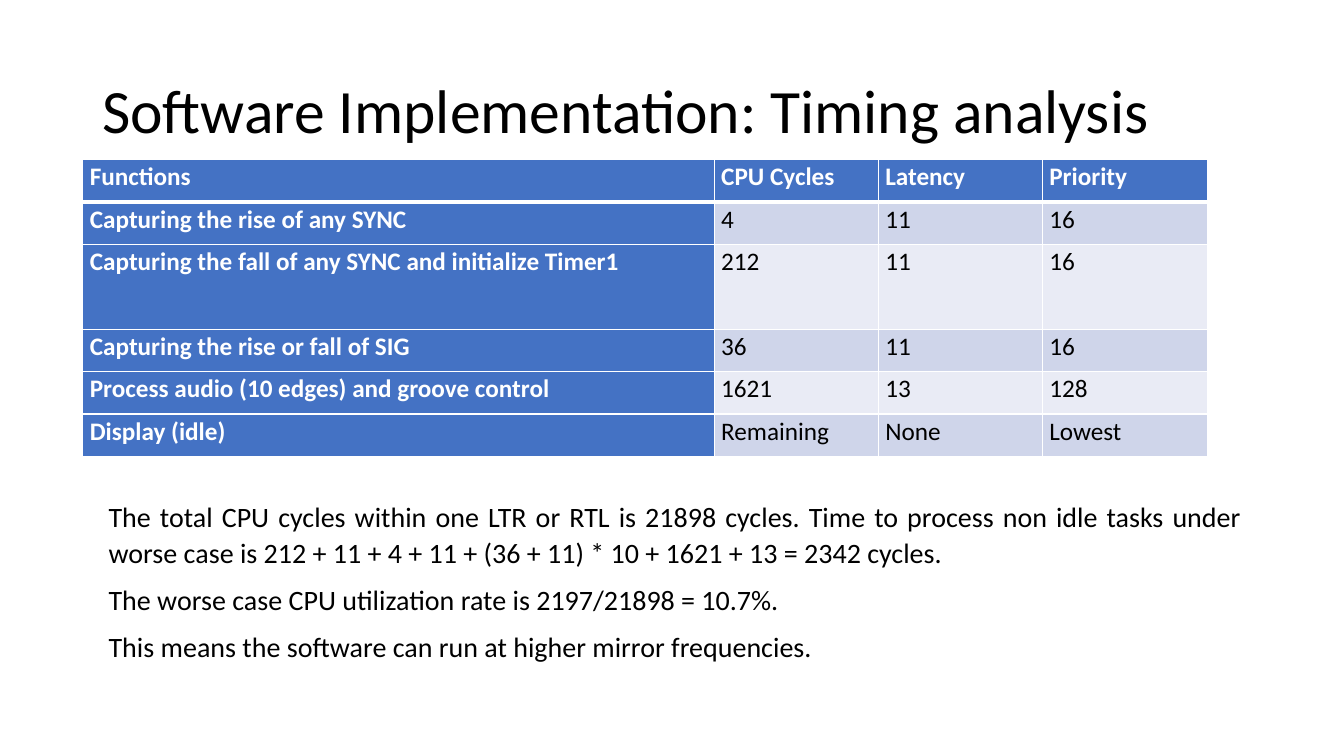
from dataclasses import dataclass

from lxml import etree
from pptx import Presentation
from pptx.dml.color import RGBColor
from pptx.enum.text import MSO_ANCHOR, PP_ALIGN
from pptx.oxml.ns import qn
from pptx.util import Pt

JUSTIFY, LEFT = PP_ALIGN.JUSTIFY, PP_ALIGN.LEFT
TOP, MIDDLE = MSO_ANCHOR.TOP, MSO_ANCHOR.MIDDLE
FONT = "Calibri"
COLORS = {
    "text": "000000",
    "white": "FFFFFF",
    "head": "4472C4",
    "odd": "CFD5EA",
    "even": "E9EBF5",
}
WIDTHS = [451, 117.2, 117.2, 117.8]
HEIGHTS = [30.2, 30.2, 61, 30.2, 30.2, 30.2]
ROWS = [
    ["Functions", "CPU Cycles", "Latency", "Priority"],
    ["Capturing the rise of any SYNC", "4", "11", "16"],
    ["Capturing the fall of any SYNC and initialize Timer1", "212", "11", "16"],
    ["Capturing the rise or fall of SIG", "36", "11", "16"],
    ["Process audio (10 edges) and groove control", "1621", "13", "128"],
    ["Display (idle)", "Remaining", "None", "Lowest"],
]


@dataclass
class Style:
    size: float
    color: str = "text"
    bold: bool = False
    align: PP_ALIGN = JUSTIFY
    spacing: float = 1.07
    after: float = 0
    indent: float = 0


@dataclass
class Block:
    left: float
    top: float
    width: float
    height: float
    anchor: MSO_ANCHOR
    style: Style
    lines: list[str]


BLOCKS = [
    Block(66, 28.75, 828, 104.4, MIDDLE, Style(44, align=LEFT, spacing=0.9),
          ["Software Implementation: Timing analysis"]),
    Block(66, 351.4, 828, 157, TOP, Style(20, after=8, indent=4.5), [
        "The total CPU cycles within one LTR or RTL is 21898 cycles. "
        "Time to process non idle tasks under worse case is "
        "212 + 11 + 4 + 11 + (36 + 11) * 10 + 1621 + 13 = 2342 cycles.",
        "The worse case CPU utilization rate is 2197/21898 = 10.7%.",
        "This means the software can run at higher mirror frequencies.",
    ]),
]


def rgb(name: str) -> RGBColor:
    return RGBColor.from_string(COLORS[name])


def write(frame, lines: list[str], style: Style) -> None:
    """Fill a text frame with one paragraph per line."""
    for index, line in enumerate(lines):
        para = frame.paragraphs[0] if index == 0 else frame.add_paragraph()
        para.text = line
        para.alignment = style.align
        para.line_spacing = style.spacing
        para.space_after = Pt(style.after)
        if style.indent:
            para._p.get_or_add_pPr().set("marL", str(Pt(style.indent)))
        font = para.font
        font.name, font.size, font.bold = FONT, Pt(style.size), style.bold
        font.color.rgb = rgb(style.color)


def add_block(slide, block: Block) -> None:
    box = slide.shapes.add_textbox(
        Pt(block.left), Pt(block.top), Pt(block.width), Pt(block.height))
    frame = box.text_frame
    frame.word_wrap = True
    frame.vertical_anchor = block.anchor
    write(frame, block.lines, block.style)


def add_edge(cell, side: str, width: float) -> None:
    line = etree.SubElement(
        cell._tc.get_or_add_tcPr(), qn(f"a:ln{side}"), w=str(Pt(width)))
    fill = etree.SubElement(line, qn("a:solidFill"))
    etree.SubElement(fill, qn("a:srgbClr"), val=COLORS["white"])


def style_cell(cell, row: int, col: int) -> None:
    """Set the margins, borders, fill and text of one table cell."""
    cell.margin_left = cell.margin_right = Pt(5)
    cell.margin_top = cell.margin_bottom = 0
    for side in "LRTB":
        thick = (side, row) in (("B", 0), ("T", 1))
        add_edge(cell, side, 3 if thick else 1)
    head = row == 0 or col == 0
    cell.fill.solid()
    cell.fill.fore_color.rgb = rgb(
        "head" if head else "odd" if row % 2 else "even")
    style = Style(18, "white" if head else "text", head)
    write(cell.text_frame, [ROWS[row][col]], style)


def add_timing(slide) -> None:
    table = slide.shapes.add_table(
        len(ROWS), len(WIDTHS), Pt(59.2), Pt(114),
        Pt(sum(WIDTHS)), Pt(sum(HEIGHTS))).table
    table.first_col = True
    for col, width in enumerate(WIDTHS):
        table.columns[col].width = Pt(width)
    for row, height in enumerate(HEIGHTS):
        table.rows[row].height = Pt(height)
        for col in range(len(WIDTHS)):
            style_cell(table.cell(row, col), row, col)


def main() -> None:
    deck = Presentation()
    deck.slide_width, deck.slide_height = Pt(960), Pt(540)
    slide = deck.slides.add_slide(deck.slide_layouts[6])
    title, notes = BLOCKS
    add_block(slide, title)
    add_timing(slide)
    add_block(slide, notes)
    deck.save("out.pptx")


if __name__ == "__main__":
    main()
